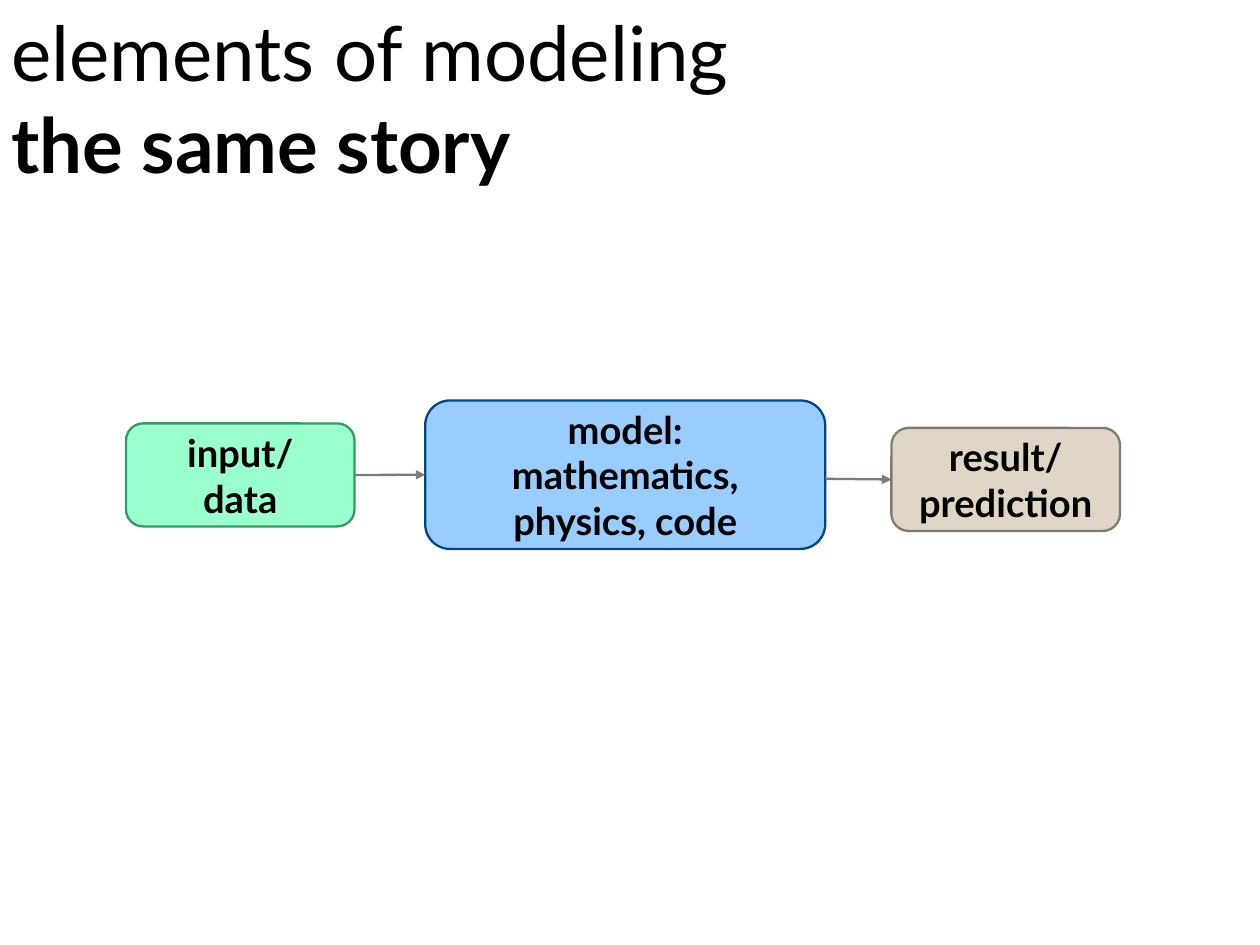
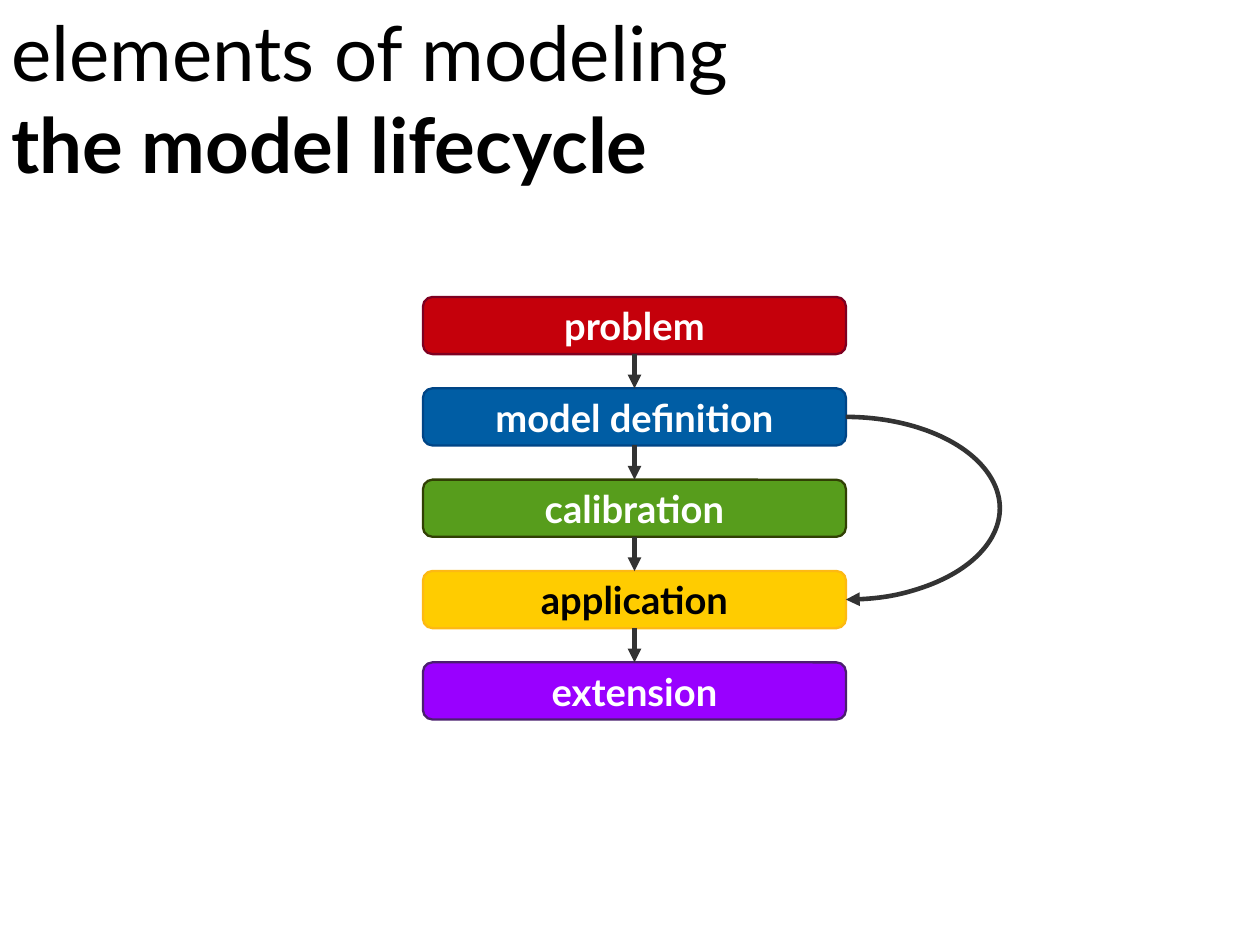
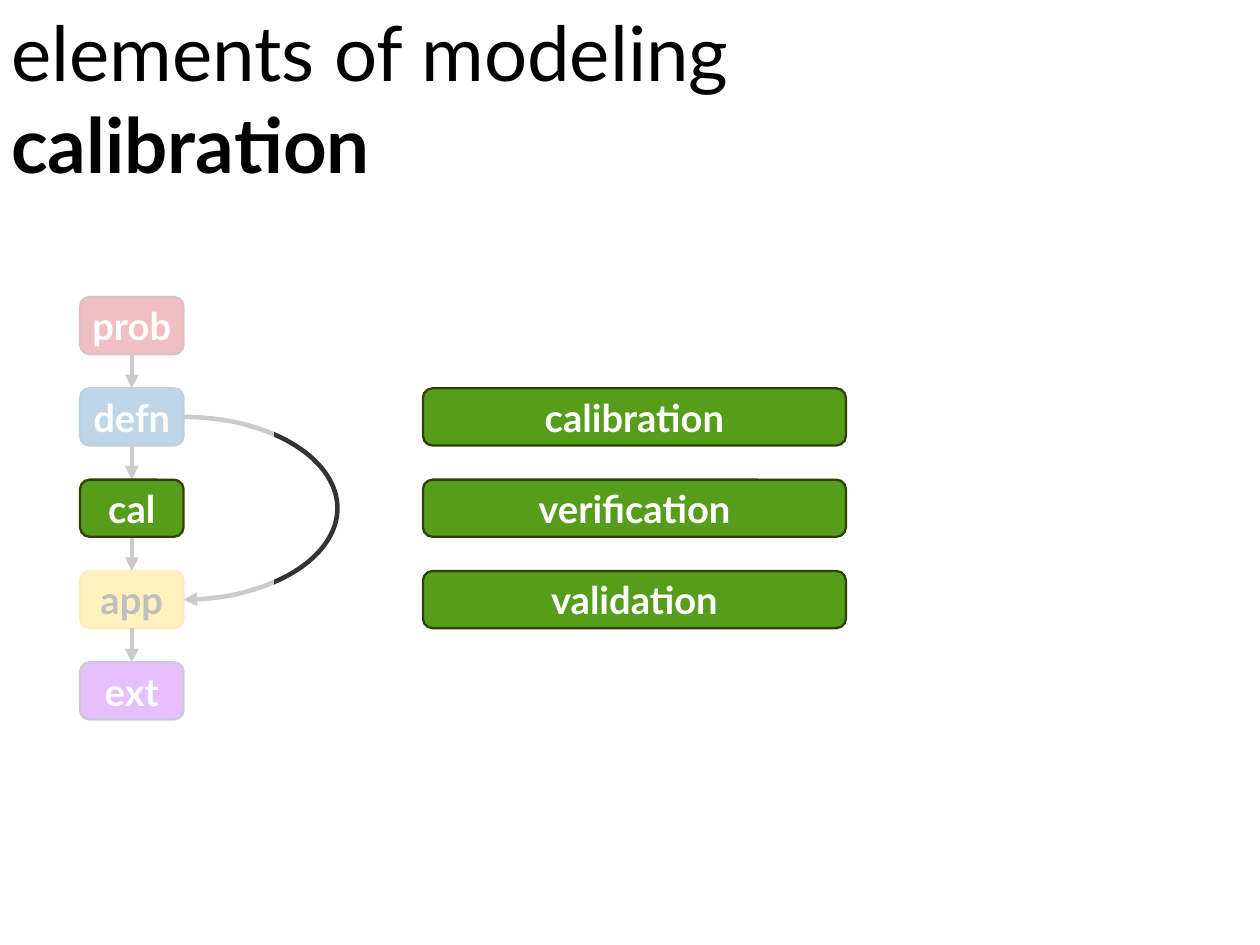
import pptx
import pptx.util
import pptx.dml.color
import pptx.enum.shapes
import pptx.enum.text
import pptx.oxml
import pptx.oxml.ns
import lxml.etree

Cm = pptx.util.Cm
Pt = pptx.util.Pt
RGB = pptx.dml.color.RGBColor.from_string
SHAPE = pptx.enum.shapes.MSO_SHAPE
STRAIGHT = pptx.enum.shapes.MSO_CONNECTOR.STRAIGHT
TOP, LEFT, BOTTOM, RIGHT = range(4)

FONT = "Lato"
COLOURS = {
    "black": "000000", "white": "FFFFFF", "arrow": "333333",
    "input": "99FFCC", "input line": "339966",
    "model": "99CCFF", "model line": "004586",
    "result": "E0D6C5", "result line": "807971",
    "problem": "C5000B", "problem line": "7E0021",
    "definition": "005DA4", "definition line": "004586",
    "calibration": "579D1C", "calibration line": "314004",
    "application": "FFCC00", "application line": "FDB913",
    "extension": "9900FF", "extension line": "4B1F6F",
}

# Lifecycle grid, in centimetres
STAGES = ["problem", "definition", "calibration", "application", "extension"]
STAGE_TOP, STAGE_PITCH, STAGE_HEIGHT = 6.6, 2.03, 1.27
WIDE_LEFT, WIDE_WIDTH = 9.4, 9.4
NARROW_LEFT, NARROW_WIDTH = 1.78, 2.3
BULGE = 3.42


def add_box(page, lines, kind, left, top, width, height, text_colour="white"):
    """Add a rounded box with centred bold text."""
    box = page.shapes.add_shape(SHAPE.ROUNDED_RECTANGLE,
                                Cm(left), Cm(top), Cm(width), Cm(height))
    box.shadow.inherit = False
    box.fill.solid()
    box.fill.fore_color.rgb = RGB(COLOURS[kind])
    box.line.color.rgb = RGB(COLOURS[kind + " line"])
    box.line.width = Pt(1.45)
    frame = box.text_frame
    frame.word_wrap = False
    frame.vertical_anchor = pptx.enum.text.MSO_ANCHOR.MIDDLE
    frame.margin_left = frame.margin_right = Cm(0.28)
    frame.margin_top = frame.margin_bottom = Cm(0.15)
    frame.text = lines
    for para in frame.paragraphs:
        para.alignment = pptx.enum.text.PP_ALIGN.CENTER
        para.font.name = FONT
        para.font.size = Pt(24)
        para.font.bold = True
        para.font.color.rgb = RGB(COLOURS[text_colour])
    return box


def style_arrow(arrow, colour, weight):
    """Give a connector or an arc its colour, weight and arrowhead."""
    arrow.line.color.rgb = RGB(COLOURS[colour])
    arrow.line.width = Pt(weight)
    line = arrow._element.spPr.find(pptx.oxml.ns.qn("a:ln"))
    lxml.etree.SubElement(line, pptx.oxml.ns.qn("a:tailEnd"), type="triangle")
    lxml.etree.SubElement(arrow._element.spPr, pptx.oxml.ns.qn("a:effectLst"))


deck = pptx.Presentation()
deck.slide_width, deck.slide_height = Cm(28), Cm(21)

# Pages with their shared title
pages = []
for subtitle in ["the same story", "the model lifecycle", "calibration"]:
    page = deck.slides.add_slide(deck.slide_layouts[6])
    title = page.shapes.add_textbox(0, 0, Cm(18.97), Cm(4.88))
    title.text_frame.word_wrap = True
    title.text_frame.text = "elements of modeling\n" + subtitle
    for para in title.text_frame.paragraphs:
        para.font.name = FONT
        para.font.size = Pt(48)
        para.font.color.rgb = RGB(COLOURS["black"])
    title.text_frame.paragraphs[1].font.bold = True
    pages.append(page)
story_page, lifecycle_page, calibration_page = pages

# Story: input, model, result
model_box = add_box(story_page, "model:\nmathematics,\nphysics, code", "model",
                    9.45, 8.9, 8.89, 3.3, "black")
result_box = add_box(story_page, "result/\nprediction", "result",
                     19.81, 9.51, 5.08, 2.29, "black")
input_box = add_box(story_page, "input/\ndata", "input",
                    2.8, 9.41, 5.08, 2.29, "black")
input_arrow = story_page.shapes.add_connector(STRAIGHT, 0, 0, 0, 0)
input_arrow.begin_connect(input_box, RIGHT)
input_arrow.end_connect(model_box, LEFT)
# The second arrow leaves the model just below its middle, level with the result
result_arrow = story_page.shapes.add_connector(
    STRAIGHT, Cm(18.34), Cm(10.64), Cm(19.81), Cm(10.65))
result_arrow.end_connect(result_box, LEFT)
for arrow in [input_arrow, result_arrow]:
    style_arrow(arrow, "result line", 1.45)

# Lifecycle chain: full size, then as a narrow overview
chains = [
    (lifecycle_page, WIDE_LEFT, WIDE_WIDTH,
     ["problem", "model definition", "calibration", "application", "extension"]),
    (calibration_page, NARROW_LEFT, NARROW_WIDTH,
     ["prob", "defn", "cal", "app", "ext"]),
]
for page, left, width, labels in chains:
    boxes = {}
    for row, (stage, label) in enumerate(zip(STAGES, labels)):
        text_colour = "black" if stage == "application" else "white"
        boxes[stage] = add_box(page, label, stage, left,
                               STAGE_TOP + row * STAGE_PITCH,
                               width, STAGE_HEIGHT, text_colour)
    for upper, lower in zip(STAGES, STAGES[1:]):
        arrow = page.shapes.add_connector(STRAIGHT, 0, 0, 0, 0)
        arrow.begin_connect(boxes[upper], BOTTOM)
        arrow.end_connect(boxes[lower], TOP)
        style_arrow(arrow, "arrow", 2.89)
    # Shortcut from definition to application: the right half of an ellipse
    shortcut = page.shapes.add_shape(
        SHAPE.ARC, Cm(left + width - BULGE),
        Cm(STAGE_TOP + STAGE_PITCH + STAGE_HEIGHT / 2),
        Cm(2 * BULGE), Cm(2 * STAGE_PITCH))
    shortcut.adjustments[0] = 162
    shortcut.adjustments[1] = 54
    shortcut.fill.background()
    style_arrow(shortcut, "arrow", 2.89)

# Veil over the overview, with the current stage on top
veil = calibration_page.shapes.add_shape(SHAPE.RECTANGLE, Cm(1.52), Cm(6.35),
                                         Cm(4.57), Cm(9.91))
veil.shadow.inherit = False
veil.line.fill.background()
veil.fill.solid()
veil.fill.fore_color.rgb = RGB(COLOURS["white"])
veil_colour = veil._element.spPr.find(".//" + pptx.oxml.ns.qn("a:srgbClr"))
lxml.etree.SubElement(veil_colour, pptx.oxml.ns.qn("a:alpha"), val="75000")
current_box = boxes["calibration"]._element
current_box.getparent().append(current_box)

# Steps of calibration, level with the middle stages
for row, step in enumerate(["calibration", "verification", "validation"], start=1):
    add_box(calibration_page, step, "calibration", WIDE_LEFT,
            STAGE_TOP + row * STAGE_PITCH, WIDE_WIDTH, STAGE_HEIGHT)

deck.save("out.pptx")
